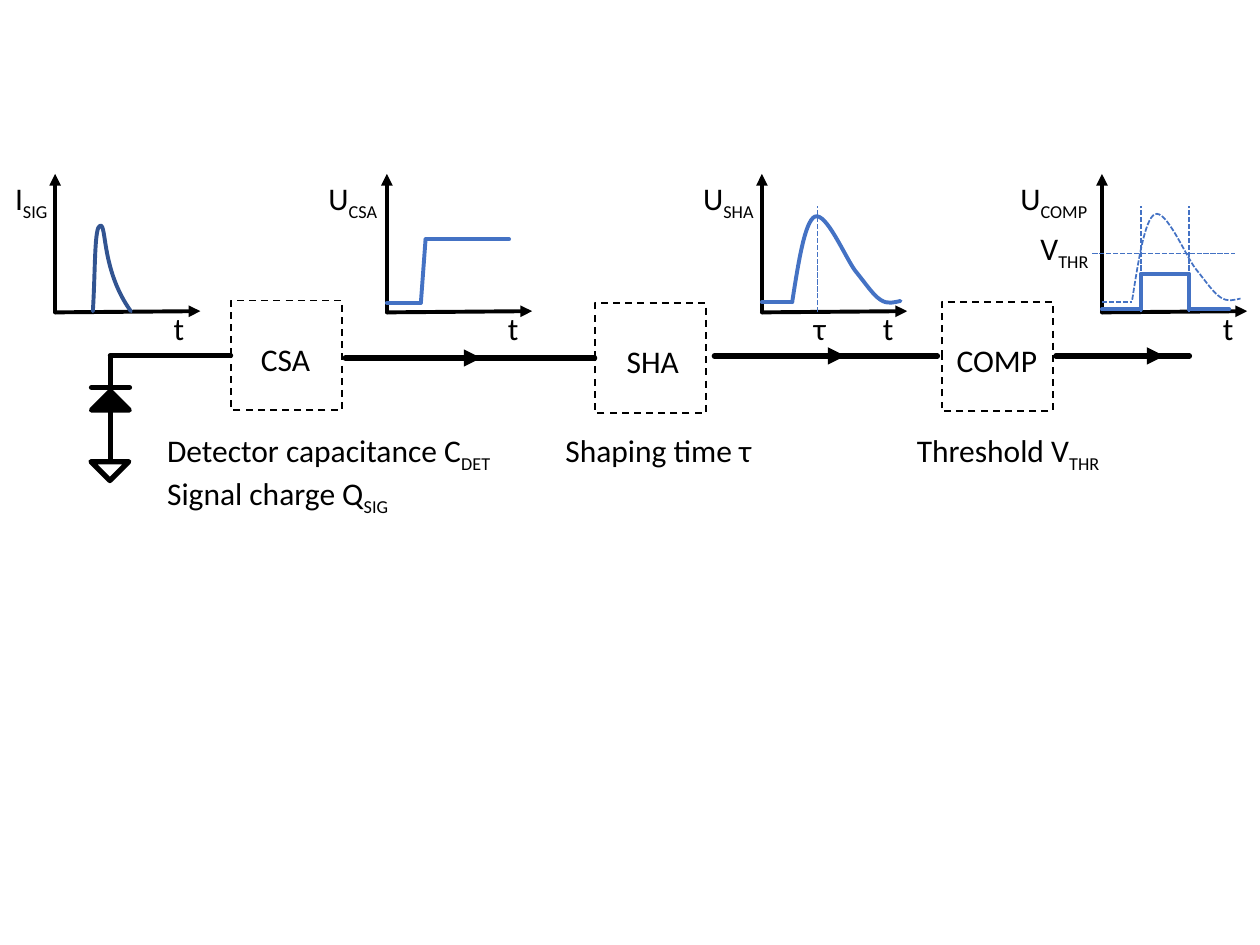
from pptx import Presentation
from pptx.dml.color import RGBColor
from pptx.enum.dml import MSO_LINE
from pptx.enum.shapes import MSO_CONNECTOR, MSO_SHAPE
from pptx.enum.text import MSO_AUTO_SIZE, PP_ALIGN
from pptx.oxml.ns import qn
from pptx.util import Pt
from lxml import etree

BLACK = RGBColor(0x00, 0x00, 0x00)
BLUE = RGBColor(0x44, 0x72, 0xC4)
NAVY = RGBColor(0x32, 0x54, 0x91)
DASH, DOTS = MSO_LINE.DASH, MSO_LINE.SQUARE_DOT
STRAIGHT = MSO_CONNECTOR.STRAIGHT
RECT, TRI = MSO_SHAPE.RECTANGLE, MSO_SHAPE.ISOSCELES_TRIANGLE
LEFT, CENTER = PP_ALIGN.LEFT, PP_ALIGN.CENTER

BASE = 178.5  # height of all time axes
WIRE = 203.4  # height of the signal wire

# Curves, relative to the origin of a plot: a start, then cubic segments
SPIKE = [(19.2, -1.6),
         (23.3, -26.6), (24.9, -50.3), (28.5, -49.9),
         (32, -49.5), (26.6, -24), (40.8, 0.6)]
PULSE = [(17.3, -5.8),
         (20.9, -28.8), (24.5, -51.8), (30.2, -54.7),
         (36.7, -57.6), (47.5, -31.7), (53.3, -23.8),
         (59.8, -15.8), (63.4, -10.1), (67.7, -7.2),
         (72, -4.3), (75.6, -5.8), (79.2, -6.5)]
STEP = [(0, -5.4), (19.4, -5.4), (22.1, -41.8), (69.8, -41.8)]
GATE = [(0, -1.7), (22.3, -1.7), (22.3, -21.9),
        (49.7, -21.9), (49.7, -1.7), (72.7, -1.7)]
FLAT = [(0, -5.8), (17.3, -5.8)]


def shift(points, x, y=BASE):
    return [(x + px, y + py) for px, py in points]


class Sketch:
    font, size = "Calibri", 18

    def __init__(self, slide):
        self.shapes = slide.shapes

    def stroke(self, line, color, width, dash=None, head=None):
        line.color.rgb = color
        line.width = Pt(width)
        if dash:
            line.dash_style = dash
        ln = line._get_or_add_ln()
        if not dash:
            ln.set("cap", "rnd")
        etree.SubElement(ln, qn("a:round"))
        if head:
            etree.SubElement(ln, qn("a:tailEnd"), type="triangle", w=head, len=head)

    def line(self, start, end, color=BLACK, width=3, dash=None, head=None):
        link = self.shapes.add_connector(STRAIGHT, *map(Pt, start + end))
        self.stroke(link.line, color, width, dash, head)
        etree.SubElement(link._element.spPr, qn("a:effectLst"))

    def chain(self, points, **style):
        for start, end in zip(points, points[1:]):
            self.line(start, end, **style)

    def curve(self, points, color, width, dash=None, turn=0):
        """Draw cubic segments through every third point."""
        knots = [(Pt(x), Pt(y)) for x, y in points]
        form = self.shapes.build_freeform(*knots[0])
        form.add_line_segments(knots[3::3], close=False)
        shape = form.convert_to_shape()
        left, top = shape.left, shape.top
        for i, seg in enumerate(list(shape._element.iter(qn("a:lnTo")))):
            seg.tag = qn("a:cubicBezTo")
            for n, (x, y) in enumerate(knots[3 * i + 1:3 * i + 3]):
                spot = etree.Element(qn("a:pt"), x=str(x - left), y=str(y - top))
                seg.insert(n, spot)
        shape.rotation = turn
        shape.shadow.inherit = False
        shape.fill.background()
        self.stroke(shape.line, color, width, dash)

    def shape(self, kind, x, y, w, h, width, dash=None, fill=None, turn=0):
        shape = self.shapes.add_shape(kind, Pt(x), Pt(y), Pt(w), Pt(h))
        shape.shadow.inherit = False
        shape.rotation = turn
        if fill is None:
            shape.fill.background()
        else:
            shape.fill.solid()
            shape.fill.fore_color.rgb = fill
        self.stroke(shape.line, BLACK, width, dash)

    def text(self, x, y, w, *rows, align=LEFT):
        """Write rows of (text, subscript) pairs."""
        box = self.shapes.add_textbox(Pt(x), Pt(y), Pt(w), Pt(7.2 + 21.6 * len(rows)))
        frame = box.text_frame
        frame.word_wrap = False
        frame.auto_size = MSO_AUTO_SIZE.SHAPE_TO_FIT_TEXT
        for i, (main, sub) in enumerate(rows):
            para = frame.add_paragraph() if i else frame.paragraphs[0]
            para.alignment = align
            para.font.name, para.font.size = self.font, Pt(self.size)
            para.font.color.rgb = BLACK
            para.add_run().text = main
            if sub:
                run = para.add_run()
                run.text = sub
                run.font._element.set("baseline", "-25000")

    def plot(self, x, main, sub, left, w, tick=62):
        """Draw the axes of a plot with origin x and their labels."""
        self.line((x, BASE), (x, 99.4), width=2.25, head="med")
        self.line((x, BASE), (x + 83, BASE - 0.7), width=2.25, head="med")
        self.text(x + tick, 172.8, 21, ("t", ""))
        self.text(left, 98.6, w, (main, sub))

    def block(self, x, y, name, mid, w):
        self.shape(RECT, x, y, 62.6, 63.4, 1, DASH, turn=90)
        self.text(mid - w / 2, y + 19.3, w, (name, ""), align=CENTER)

    def wire(self, start, end, tip, y=WIRE):
        self.line((start, y), (end, y))
        self.line((tip - 19.5, y), (tip, y), width=0.5, head="lg")


def main():
    deck = Presentation()
    deck.slide_width, deck.slide_height = Pt(720), Pt(540)
    art = Sketch(deck.slides.add_slide(deck.slide_layouts[6]))

    for x, y, name, mid, w in [(132.4, 171.3, "CSA", 163.1, 43),
                               (340.4, 172.9, "SHA", 373, 45),
                               (538.5, 172.1, "COMP", 569.7, 61)]:
        art.block(x, y, name, mid, w)

    # Detector diode and ground
    mid = 63.1
    art.shape(TRI, 52.3, 223.5, 21.6, 10.8, 3, fill=BLACK)
    art.line((52.3, 221.4), (74, 221.4))
    art.line((mid, 203.4), (mid, 223.2))
    art.line((mid, 233.3), (mid, 252.7))
    art.line((mid, 242.6), (mid, 262.8))
    art.shape(TRI, 52, 263.8, 21.6, 10.8, 3, turn=180)

    art.line((mid, 203.2), (131.8, 203.2))
    art.wire(197.3, 339.8, 275, y=204.6)
    art.wire(408.2, 535.7, 483)
    art.wire(603.4, 679.7, 665.3)

    ins, csa, sha, comp = 31.5, 221.1, 435.4, 629.7
    art.plot(ins, "I", "SIG", 1.5, 35.3, tick=60.6)
    art.plot(csa, "U", "CSA", 180.6, 45.4)
    art.plot(sha, "U", "SHA", 394.7, 46)
    art.plot(comp, "U", "COMP", 576, 56.9)

    art.curve(shift(SPIKE, ins), NAVY, 2.25, turn=-5.8)
    art.chain(shift(STEP, csa), color=BLUE, width=2.25)
    art.chain(shift(FLAT, sha), color=BLUE, width=2.25)
    art.curve(shift(PULSE, sha), BLUE, 2.25)
    art.chain(shift(FLAT, comp), color=BLUE, width=1, dash=DOTS)
    art.curve(shift(PULSE, comp, BASE - 1.4), BLUE, 1, DOTS)
    art.chain(shift(GATE, comp), color=BLUE, width=2.25)

    # Threshold level, peak time and crossing times
    level = BASE - 33.6
    art.line((comp - 5.5, level), (comp + 76, level), BLUE, 1, DOTS)
    for x in (sha + 31.7, comp + 22.3, comp + 49.7):
        art.line((x, BASE), (x, 118), BLUE, 1, DOTS)
    art.text(587.5, 127.6, 45, ("V", "THR"))
    art.text(457.9, 172.8, 21.6, ("τ", ""))

    note = 242.6
    art.text(88.4, note, 206.6, ("Detector capacitance C", "DET"),
             ("Signal charge Q", "SIG"))
    art.text(316, note, 122.4, ("Shaping time τ", ""))
    art.text(516.8, note, 122.4, ("Threshold V", "THR"))
    deck.save("out.pptx")


if __name__ == "__main__":
    main()
